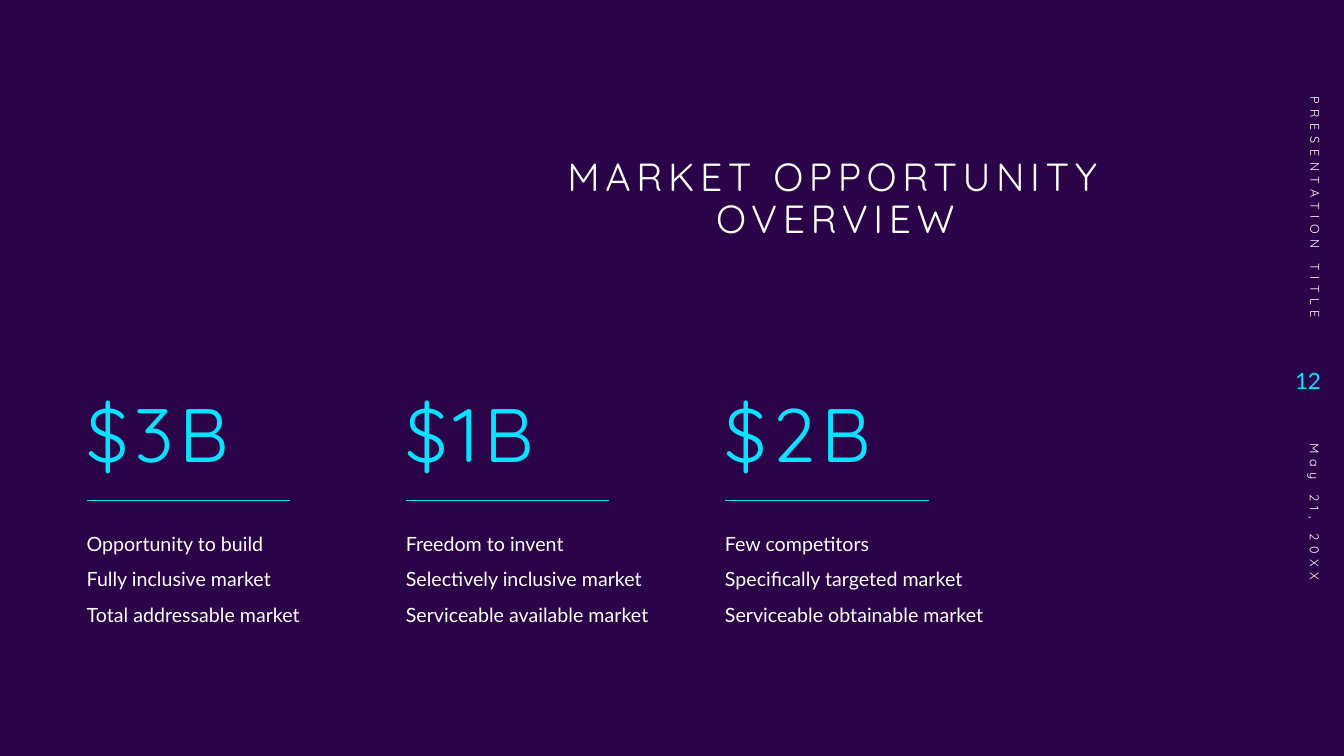
from lxml import etree
from pptx import Presentation
from pptx.dml.color import RGBColor
from pptx.enum.shapes import MSO_CONNECTOR
from pptx.enum.text import MSO_ANCHOR, MSO_AUTO_SIZE, PP_ALIGN
from pptx.oxml.ns import qn
from pptx.util import Inches, Pt

TOP, MIDDLE, BOTTOM = MSO_ANCHOR.TOP, MSO_ANCHOR.MIDDLE, MSO_ANCHOR.BOTTOM
LEFT, CENTER, RIGHT = PP_ALIGN.LEFT, PP_ALIGN.CENTER, PP_ALIGN.RIGHT
NO_AUTOFIT = MSO_AUTO_SIZE.NONE
STRAIGHT = MSO_CONNECTOR.STRAIGHT

TITLE = "MARKET OPPORTUNITY OVERVIEW"
MARKETS = [
    ("$3B", ["Opportunity to build", "Fully inclusive market",
             "Total addressable market"]),
    ("$1B", ["Freedom to invent", "Selectively inclusive market",
             "Serviceable available market"]),
    ("$2B", ["Few competitors", "Specifically targeted market",
             "Serviceable obtainable market"]),
]
FOOTER, PAGE, DATE = "PRESENTATION TITLE", "12", "May 21, 20XX"

PURPLE, CYAN, WHITE = "2B0348", "0BE1FF", "FFFFFF"
HEADING_FONT, BODY_FONT = "Quicksand", "Lato"

# Column grid, in inches
FIRST_COLUMN, COLUMN_STEP, COLUMN_WIDTH = 0.76, 3.165, 2.95
FIGURE_TOP, FIGURE_HEIGHT = 3.72, 1.08
RULE_TOP, RULE_INSET, RULE_LENGTH = 4.96, 0.1, 2.02
LIST_TOP, LIST_HEIGHT = 5.11, 1.26


def rgb(hex_color):
    return RGBColor.from_string(hex_color)


def write(shape, lines, box, size, font=HEADING_FONT, color=WHITE, align=LEFT,
          anchor=TOP, line_spacing=1.0, tracking=0, rotation=0):
    """Place a text shape and fill it with one paragraph per line."""
    shape.left, shape.top, shape.width, shape.height = map(Inches, box)
    shape.rotation = rotation
    frame = shape.text_frame
    frame.word_wrap = True
    frame.auto_size = NO_AUTOFIT
    frame.vertical_anchor = anchor
    frame.text = "\n".join(lines)
    for paragraph in frame.paragraphs:
        properties = paragraph._p.get_or_add_pPr()
        properties.set("marL", "0")
        properties.set("indent", "0")
        etree.SubElement(properties, qn("a:buNone"))
        paragraph.alignment = align
        paragraph.line_spacing = line_spacing
        paragraph.space_before = paragraph.space_after = Pt(0)
        for run in paragraph.runs:
            run.font.name = font
            run.font.size = Pt(size)
            run.font.bold = False
            run.font.color.rgb = rgb(color)
            run._r.get_or_add_rPr().set("spc", str(tracking * 100))


def add_rule(shapes, left, top, length):
    rule = shapes.add_connector(STRAIGHT, Inches(left), Inches(top),
                                Inches(left + length), Inches(top))
    rule.line.color.rgb = rgb(CYAN)
    rule.line.width = Pt(0.5)
    etree.SubElement(rule._element.spPr, qn("a:effectLst"))


def main():
    deck = Presentation()
    deck.slide_width, deck.slide_height = Inches(13.33), Inches(7.5)
    slide = deck.slides.add_slide(deck.slide_layouts.get_by_name("Comparison"))
    slide.background.fill.solid()
    slide.background.fill.fore_color.rgb = rgb(PURPLE)
    shapes = slide.shapes

    def new_box():
        return shapes.add_textbox(0, 0, 0, 0)

    write(shapes.title, [TITLE], (5.5, 1.51, 5.57, 1.08), 28, align=CENTER,
          line_spacing=0.9, tracking=4)

    bodies = list(slide.placeholders)[1:]
    for column, (figure, points) in enumerate(MARKETS):
        left = FIRST_COLUMN + column * COLUMN_STEP
        write(new_box(), [figure],
              (left, FIGURE_TOP, COLUMN_WIDTH, FIGURE_HEIGHT), 54, color=CYAN,
              anchor=BOTTOM, line_spacing=0.9, tracking=4)
        add_rule(shapes, left + RULE_INSET, RULE_TOP, RULE_LENGTH)
        write(bodies[column], points,
              (left, LIST_TOP, COLUMN_WIDTH, LIST_HEIGHT), 14, font=BODY_FONT,
              line_spacing=1.5)
    for unused in bodies[len(MARKETS):]:
        unused._element.getparent().remove(unused._element)

    write(new_box(), [FOOTER], (11.53, 1.54, 3.03, 0.4), 9, align=RIGHT,
          anchor=MIDDLE, tracking=4, rotation=90)
    write(new_box(), [PAGE], (12.6, 3.46, 0.6, 0.63), 16, font=BODY_FONT,
          color=CYAN, align=RIGHT, anchor=MIDDLE)
    write(new_box(), [DATE], (11.59, 5.55, 2.9, 0.4), 9, anchor=MIDDLE,
          tracking=4, rotation=90)

    deck.save("out.pptx")


if __name__ == "__main__":
    main()
